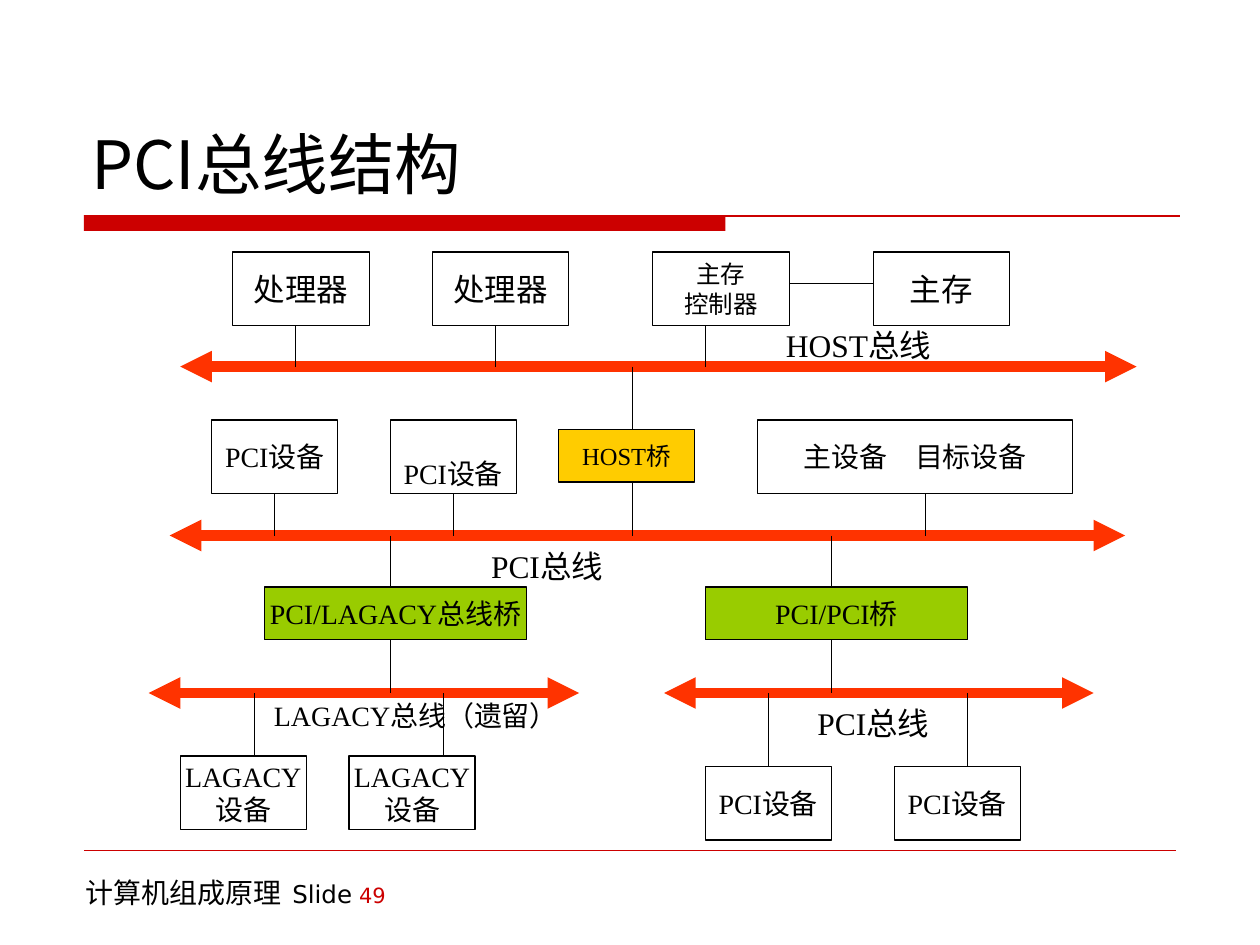
from typing import NamedTuple

from lxml.etree import SubElement as Sub
from pptx import Presentation
from pptx.dml.color import RGBColor as Rgb
from pptx.enum.shapes import MSO_CONNECTOR as Conn, MSO_SHAPE as Kind
from pptx.enum.text import MSO_ANCHOR as Anchor, PP_ALIGN as Align
from pptx.oxml.ns import qn
from pptx.util import Pt

HUES = {"ink": "000000", "paper": "FFFFFF", "brand": "CC0000",
        "bus": "FF3300", "host": "FFCC00", "bridge": "99CC00"}
SERIF, SANS, HAN = "Times New Roman", "DejaVu Sans", "Noto Sans CJK SC"


class Box(NamedTuple):
    text: str
    x: float
    y: float
    w: float = 72
    h: float = 42
    size: float = 16
    fill: str = "paper"
    low: bool = False


class Line(NamedTuple):
    x1: float
    y1: float
    x2: float
    y2: float
    hue: str = "ink"
    width: float = 0.75
    heads: bool = False


class Label(NamedTuple):
    text: str
    x: float
    y: float
    w: float
    h: float = 29
    size: float = 18


CPU_Y, DEV_Y, BRIDGE_Y, OLD_Y, NEW_Y = 144, 240, 335.5, 432, 438
HOST_BUS, PCI_BUS, LOW_BUS = 209.5, 306, 396

BOXES = [
    Box("处理器", 133, CPU_Y, 78, size=18),
    Box("处理器", 247, CPU_Y, 78, size=18),
    Box("主存\n控制器", 373, CPU_Y, 78, size=14),
    Box("主存", 499, CPU_Y, 78, size=18),
    Box("PCI设备", 121, DEV_Y),
    Box("PCI设备", 223, DEV_Y, low=True),
    Box("HOST桥", 319, 245.5, 78, 30, 14, "host"),
    Box("主设备　目标设备", 433, DEV_Y, 180),
    Box("PCI/LAGACY总线桥", 151, BRIDGE_Y, 150, 30, fill="bridge"),
    Box("PCI/PCI桥", 403, BRIDGE_Y, 150, 30, fill="bridge"),
    Box("LAGACY\n设备", 103, OLD_Y),
    Box("LAGACY\n设备", 199.5, OLD_Y),
    Box("PCI设备", 403, NEW_Y),
    Box("PCI设备", 511, NEW_Y),
]

BUSES = [Line(x1, y, x2, y, "bus", 6, True) for x1, x2, y in [
    (103, 649.5, HOST_BUS), (97, 643, PCI_BUS),
    (85, 331, LOW_BUS), (379.5, 625, LOW_BUS)]]

# Each group: top, bottom, places across
DROPS = [
    (CPU_Y + 42, HOST_BUS, (169, 283, 403)),
    (HOST_BUS, 245.5, (361.5,)),
    (275.5, PCI_BUS, (361.5,)),
    (DEV_Y + 42, PCI_BUS, (157, 259, 529)),
    (PCI_BUS, BRIDGE_Y, (223, 475)),
    (BRIDGE_Y + 30, LOW_BUS, (223, 475)),
    (LOW_BUS, OLD_Y, (145.5, 253.5)),
    (LOW_BUS, NEW_Y, (439, 553)),
]

LABELS = [
    Label("HOST总线", 442, 183, 110),
    Label("PCI总线", 273.5, 309, 90),
    Label("PCI总线", 460, 399, 90),
    Label("LAGACY总线（遗留）", 149.5, 395.5, 200, 26.5, 16),
]


def tint(hue: str) -> Rgb:
    return Rgb.from_string(HUES[hue])


def style(para, size: float, face: str) -> None:
    font = para.font
    font.size, font.name = Pt(size), face
    font.color.rgb = tint("ink")
    Sub(para._p.pPr.find(qn("a:defRPr")), qn("a:ea"), typeface=HAN)


def draw_box(slide, box: Box):
    shape = slide.shapes.add_shape(
        Kind.RECTANGLE, Pt(box.x), Pt(box.y), Pt(box.w), Pt(box.h))
    shape.shadow.inherit = False
    shape.fill.solid()
    shape.fill.fore_color.rgb = tint(box.fill)
    shape.line.color.rgb = tint("ink")
    shape.line.width = Pt(0.75)
    frame = shape.text_frame
    frame.word_wrap = False
    frame.vertical_anchor = Anchor.BOTTOM if box.low else Anchor.MIDDLE
    if box.low:
        frame.margin_bottom = Pt(2)
    frame.text = box.text
    for para in frame.paragraphs:
        para.alignment = Align.CENTER
        style(para, box.size, SERIF)
    return shape


def draw_line(slide, line: Line):
    wire = slide.shapes.add_connector(
        Conn.STRAIGHT, Pt(line.x1), Pt(line.y1), Pt(line.x2), Pt(line.y2))
    wire.line.color.rgb = tint(line.hue)
    wire.line.width = Pt(line.width)
    props = wire._element.spPr
    if line.heads:
        for end in ("a:headEnd", "a:tailEnd"):
            Sub(props.find(qn("a:ln")), qn(end), type="triangle")
    Sub(props, qn("a:effectLst"))
    return wire


def draw_drop(slide, x: float, top: float, low: float, shapes: list) -> None:
    """Draw an upright wire and join it to any box side it meets midway."""
    wire = draw_line(slide, Line(x, top, x, low))
    for box, shape in zip(BOXES, shapes):
        if x == box.x + box.w / 2:
            if top == box.y + box.h:
                wire.begin_connect(shape, 2)
            if low == box.y:
                wire.end_connect(shape, 0)


def draw_label(slide, label: Label, face: str = SERIF):
    frame = slide.shapes.add_textbox(
        Pt(label.x), Pt(label.y), Pt(label.w), Pt(label.h)).text_frame
    frame.word_wrap = True
    frame.text = label.text
    style(frame.paragraphs[0], label.size, face)
    return frame


def draw_frame(slide) -> None:
    """Draw the title, the red rules and the footer."""
    bar = slide.shapes.add_shape(
        Kind.RECTANGLE, Pt(48), Pt(123), Pt(366.5), Pt(9))
    bar.shadow.inherit = False
    bar.fill.solid()
    bar.fill.fore_color.rgb = tint("brand")
    bar.line.fill.background()
    draw_line(slide, Line(48, 123.3, 674.5, 123.3, "brand", 1))
    draw_line(slide, Line(48, 486, 672, 486, "brand", 0.25))

    foot = draw_label(slide, Label("计算机组成原理\u2002".strip(), 42, 484.5, 216, 37.5, 16), SANS)
    para = foot.paragraphs[0]
    for text, size, hue in [(" ", 28, "ink"), ("Slide", 14, "ink"),
                            (" ", 12, "ink"), ("49", 12, "brand")]:
        run = para.add_run()
        run.text, run.font.size = text, Pt(size)
        run.font.color.rgb = tint(hue)

    title = draw_label(slide, Label("PCI总线结构", 45, 23.5, 630, 96, 38), HAN)
    title.vertical_anchor = Anchor.BOTTOM


def main() -> None:
    deck = Presentation()
    deck.slide_width, deck.slide_height = Pt(720), Pt(540)
    slide = deck.slides.add_slide(deck.slide_layouts[6])
    draw_frame(slide)
    shapes = [draw_box(slide, box) for box in BOXES]
    for bus in BUSES:
        draw_line(slide, bus)
    for top, low, spots in DROPS:
        for x in spots:
            draw_drop(slide, x, top, low, shapes)
    draw_line(slide, Line(451, 162, 499, 162))
    for label in LABELS:
        draw_label(slide, label)
    deck.save("out.pptx")


if __name__ == "__main__":
    main()
